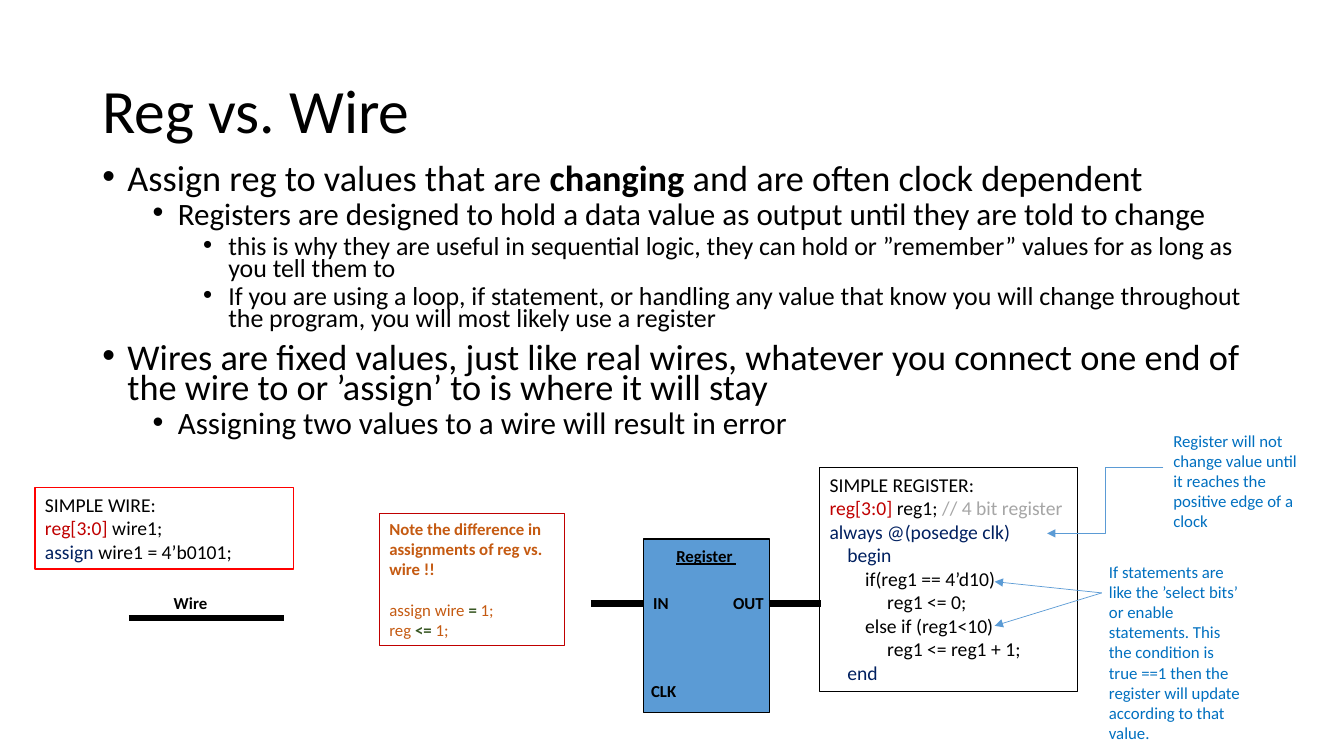
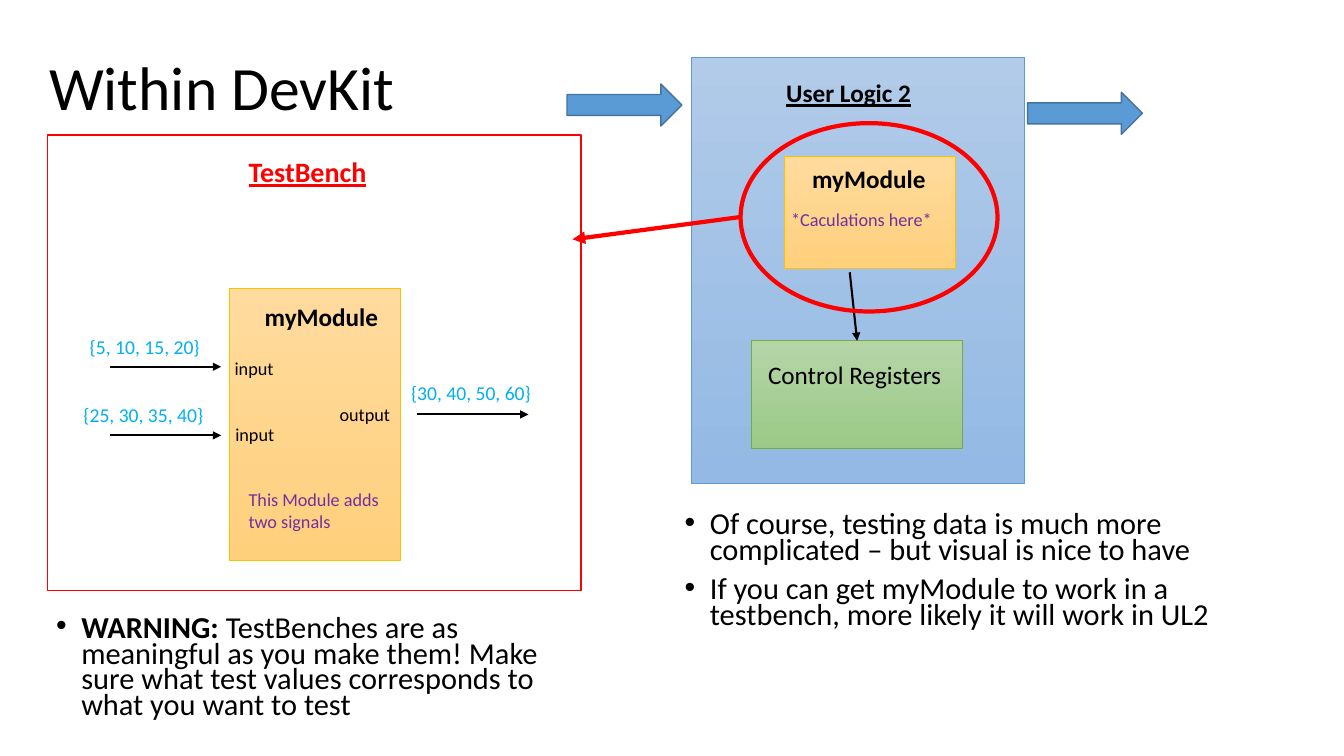
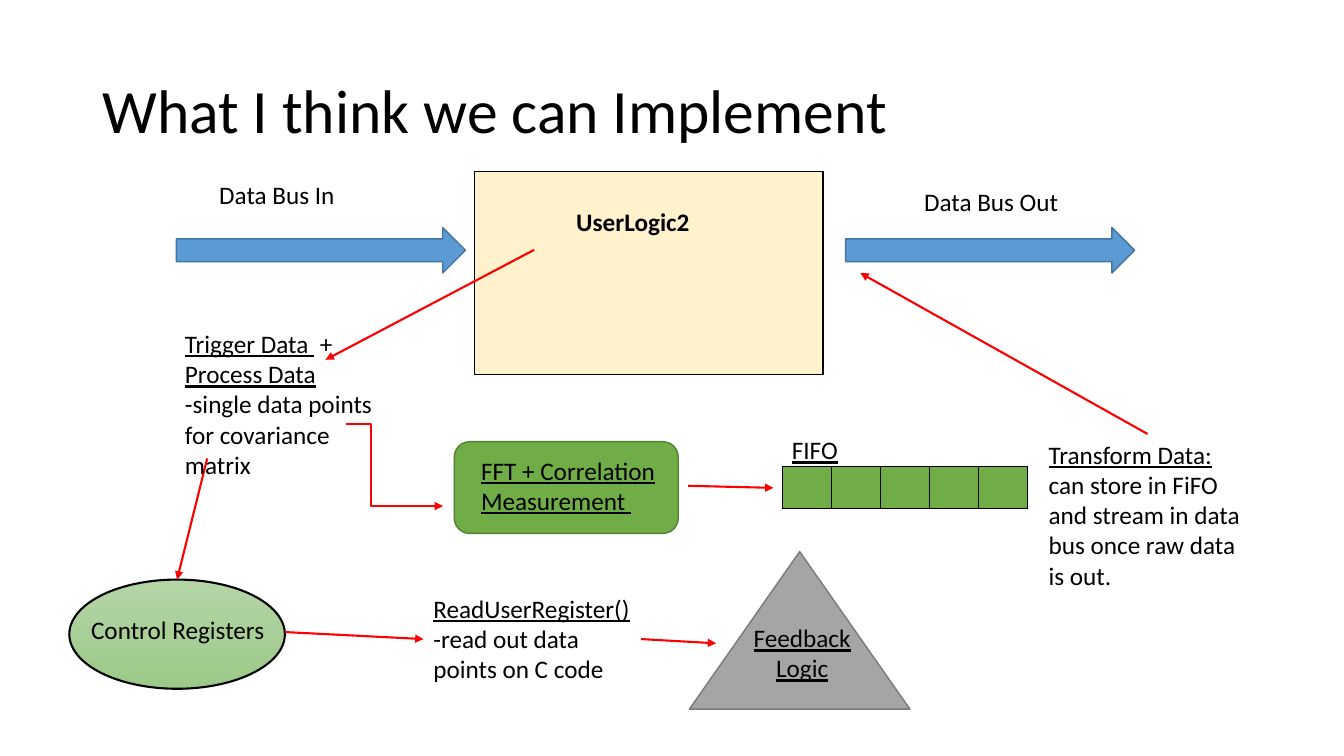
from lxml import etree
from pptx import Presentation
from pptx.dml.color import RGBColor
from pptx.enum import shapes, text
from pptx.oxml import ns
from pptx.util import Pt

FONT = "Calibri"
BLACK, RED, DARK_RED = "000000", "FF0000", "C00000"
BLUE, BLUE_EDGE, NAVY, NOTE_BLUE = "5B9BD5", "43739E", "002060", "0070C0"
SKY, PURPLE, ORANGE, OLIVE = "00B0F0", "7030A0", "C55A11", "385723"
GREEN, GOLD, GRAY = "70AD47", "FFC000", "A6A6A6"
BLUE_FADE = ("B1CBE9", "93B9E4")
GOLD_FADE = ("FFDB9E", "FFD07C")
GREEN_FADE = ("B5D5A7", "9CC987")
SHAPE = shapes.MSO_SHAPE


def rgb(value):
    return RGBColor.from_string(value)


def child(parent, tag, **attributes):
    return etree.SubElement(parent, ns.qn(tag), **attributes)


def outline(shape, color, width):
    shape.line.color.rgb = rgb(color)
    shape.line.width = Pt(width)


def add_runs(paragraph, runs, size=18, color=BLACK, bold=False, underline=False):
    """Add runs; each is a string or a (string, format overrides) pair."""
    for run in [runs] if isinstance(runs, str) else runs:
        words, changes = (run, {}) if isinstance(run, str) else run
        style = dict(size=size, color=color, bold=bold, underline=underline) | changes
        part = paragraph.add_run()
        part.text = words
        part.font.name = FONT
        part.font.size = Pt(style["size"])
        part.font.bold = style["bold"]
        part.font.underline = style["underline"]
        part.font.color.rgb = rgb(style["color"])


def add_text(slide, left, top, width, height, *paragraphs, line=None, centered=False, **style):
    box = slide.shapes.add_textbox(Pt(left), Pt(top), Pt(width), Pt(height))
    frame = box.text_frame
    frame.word_wrap = True
    if line:
        outline(box, line, 0.75)
    for index, runs in enumerate(paragraphs):
        paragraph = frame.add_paragraph() if index else frame.paragraphs[0]
        if centered:
            paragraph.alignment = text.PP_ALIGN.CENTER
        add_runs(paragraph, runs, **style)
    return box


def add_title(slide, words, left=66, top=29):
    box = add_text(slide, left, top, 828, 104, words, size=44)
    box.text_frame.vertical_anchor = text.MSO_ANCHOR.MIDDLE
    box.text_frame.paragraphs[0].line_spacing = 0.9


def add_bullets(slide, left, top, width, height, items, sizes):
    """Add (level, runs) items, with one text size for each level."""
    frame = add_text(slide, left, top, width, height).text_frame
    for index, (level, runs) in enumerate(items):
        paragraph = frame.add_paragraph() if index else frame.paragraphs[0]
        paragraph.level = level
        paragraph.line_spacing = 0.7
        if index:
            paragraph.space_before = Pt(5 if level else 10)
        properties = paragraph._p.get_or_add_pPr()
        properties.set("marL", str(Pt(18 + 36 * level)))
        properties.set("indent", str(-Pt(18)))
        child(properties, "a:buFont", typeface="Arial")
        child(properties, "a:buChar", char="•")
        add_runs(paragraph, runs, size=sizes[level])


def add_shape(slide, kind, left, top, width, height, fill=None, line=BLACK, weight=1):
    """Add a shape; a pair of colours as fill fades from top to bottom."""
    shape = slide.shapes.add_shape(kind, Pt(left), Pt(top), Pt(width), Pt(height))
    shape.shadow.inherit = False
    if fill is None:
        shape.fill.background()
    elif isinstance(fill, str):
        shape.fill.solid()
        shape.fill.fore_color.rgb = rgb(fill)
    else:
        shape.fill.gradient()
        shape.fill.gradient_angle = 270
        for stop, color in zip(shape.fill.gradient_stops, fill):
            stop.color.rgb = rgb(color)
    outline(shape, line, weight)
    return shape


def add_line(slide, start, end, color=BLACK, width=1.5, arrow=True, elbow=None,
             begin_at=None, end_at=None):
    """Join two points; elbow is the bend's share of the width, begin_at and end_at are (shape, side)."""
    kind = shapes.MSO_CONNECTOR.STRAIGHT if elbow is None else shapes.MSO_CONNECTOR.ELBOW
    connector = slide.shapes.add_connector(kind, *map(Pt, start + end))
    if begin_at:
        connector.begin_connect(*begin_at)
    if end_at:
        connector.end_connect(*end_at)
    outline(connector, color, width)
    properties = connector.element.spPr
    if arrow:
        child(connector.line._get_or_add_ln(), "a:tailEnd", type="triangle")
    if elbow is not None:
        guides = properties.find(".//" + ns.qn("a:avLst"))
        child(guides, "a:gd", name="adj1", fmla=f"val {round(elbow * 100000)}")
    child(properties, "a:effectLst")


def bus_arrow(slide, left, top, width, height):
    add_shape(slide, SHAPE.RIGHT_ARROW, left, top, width, height, BLUE, BLUE_EDGE)


# Reg vs. Wire

def wire_example(slide, left, top):
    add_text(slide, left, top, 184.5, 58, "SIMPLE WIRE:",
             [("reg[3:0] ", {"color": DARK_RED}), "wire1;"],
             [("assign ", {"color": NAVY}), "wire1 = 4’b0101;"], line=RED, size=14)
    add_text(slide, left + 92, top + 71.5, 44, 21, "Wire", size=12, bold=True)
    add_line(slide, (left + 67, top + 93), (left + 178, top + 93), width=4.5, arrow=False)


def assignment_note(slide, left, top):
    operator = {"color": OLIVE, "bold": True}
    box = add_text(slide, left, top, 132, 94,
                   [("Note the difference in assignments of reg vs. wire !!", {"bold": True})],
                   ["assign wire ", ("=", operator), " 1;"],
                   ["reg ", ("<= ", operator), "1;"], line=DARK_RED, size=12, color=ORANGE)
    box.text_frame.paragraphs[1].space_before = Pt(14.5)


def register_block(slide, left, top):
    add_shape(slide, SHAPE.RECTANGLE, left, top, 90, 124, BLUE)
    for words, x, y, width in [("IN", 0, 35, 30), ("OUT", 57, 35, 40), ("CLK", -1.5, 98, 41)]:
        add_text(slide, left + x, top + y, width, 21, words, size=12, bold=True)
    add_text(slide, left + 16.5, top + 1, 58, 21, "Register ", size=12, bold=True, underline=True)
    for x in (left - 37.5, left + 89.5):
        add_line(slide, (x, top + 46), (x + 37.5, top + 46), width=4.5, arrow=False)


def register_code(slide, left, top):
    keyword = {"color": NAVY}
    add_text(slide, left, top, 184.5, 160, "SIMPLE REGISTER:",
             [("reg[3:0] ", {"color": DARK_RED}), "reg1; ", ("// 4 bit register", {"color": GRAY})],
             [("always @(posedge clk)", keyword)],
             [("    begin", keyword)],
             "        if(reg1 == 4’d10)",
             "             reg1 <= 0;",
             "        else if (reg1<10)",
             "             reg1 <= reg1 + 1;",
             [("    end", keyword)], line=BLACK, size=14)
    add_text(slide, left + 245.5, top - 30, 109, 80,
             "Register will not change value until it reaches the positive edge of a clock",
             size=12, color=NOTE_BLUE)
    add_line(slide, (left + 245.5, top), (left + 162.5, top + 47), BLUE, 0.5, elbow=0.5)
    add_text(slide, left + 199.5, top + 63.5, 109, 138,
             "If statements are like the ’select bits’ or enable statements. This the condition "
             "is true ==1 then the register will update according to that value.",
             size=12, color=NOTE_BLUE)
    for y in (81.5, 113):
        add_line(slide, (left + 201.5, top + 89.5), (left + 125, top + y), BLUE, 0.5)


def reg_and_wire(slide):
    add_title(slide, "Reg vs. Wire")
    add_bullets(slide, 66, 116, 828, 220, [
        (0, ["Assign reg to values that are ", ("changing ", {"bold": True}),
             "and are often clock dependent"]),
        (1, "Registers are designed to hold a data value as output until they are told to change"),
        (2, "this is why they are useful in sequential logic, they can hold or ”remember” values "
            "for as long as you tell them to"),
        (2, "If you are using a loop, if statement, or handling any value that know you will "
            "change throughout the program, you will most likely use a register"),
        (0, "Wires are fixed values, just like real wires, whatever you connect one end of the "
            "wire to or ’assign’ to is where it will stay"),
        (1, "Assigning two values to a wire will result in error"),
    ], (25.9, 22.2, 18.5))
    wire_example(slide, 25, 348.5)
    assignment_note(slide, 271, 367)
    register_block(slide, 459.5, 385)
    register_code(slide, 585.5, 334)


# Within DevKit

def my_module(slide, left, top, height, label_left, label_top):
    add_shape(slide, SHAPE.RECTANGLE, left, top, 122.5, height, GOLD_FADE, GOLD, 0.5)
    add_text(slide, left + label_left, top + label_top, 96, 29, "myModule", bold=True)


def user_logic(slide, left, top):
    add_shape(slide, SHAPE.RECTANGLE, left, top, 237.5, 304, BLUE_FADE, BLUE, 0.5)
    add_text(slide, left + 60.5, top + 11, 115, 29, "User Logic 2", bold=True, underline=True)
    bus_arrow(slide, left - 89, top + 19, 82, 30)
    bus_arrow(slide, left + 240, top + 25, 82, 30)
    my_module(slide, left + 66, top + 70.5, 80, 13, 1.5)
    add_text(slide, left + 64, top + 104, 117.5, 23, "*Caculations here*", size=13, color=PURPLE)
    registers = add_shape(slide, SHAPE.RECTANGLE, left + 43, top + 202.5, 150.5, 77,
                          GREEN_FADE, GREEN, 0.5)
    add_text(slide, left + 47.5, top + 212, 146, 29, "Control Registers")
    add_line(slide, (left + 113, top + 153.5), (left + 118, top + 202.5), end_at=(registers, 0))
    add_shape(slide, SHAPE.OVAL, left + 35, top + 47, 183.5, 134.5, line=RED, weight=3)
    add_line(slide, (left + 35, top + 114), (left - 85, top + 130), RED, 3)


def test_bench(slide, left, top):
    add_shape(slide, SHAPE.RECTANGLE, left, top, 381, 325.5, line=RED)
    add_text(slide, left + 136.5, top + 10.5, 108, 32, "TestBench",
             size=20, color=RED, bold=True, underline=True)
    my_module(slide, left + 129.5, top + 109.5, 194, 18.5, 5.5)
    add_text(slide, left + 136.5, top + 248.5, 112, 39, "This Module adds two signals",
             size=13, color=PURPLE)
    for x, y in [(44.5, 165.5), (44.5, 214.5), (264, 199.5)]:
        add_line(slide, (left + x, top + y), (left + x + 79.5, top + y))
    for words, x, y in [("input", 126.5, 155.5), ("input", 127, 202.5), ("output", 201.5, 188)]:
        add_text(slide, left + x, top + y, 55, 23, words, size=13)
    for words, x, y in [("{5, 10, 15, 20}", 23, 139.5), ("{25, 30, 35, 40}", 18.5, 188),
                        ("{30, 40, 50, 60}", 252.5, 172)]:
        add_text(slide, left + x, top + y, 109, 24, words, size=14, color=SKY)


def within_devkit(slide):
    add_title(slide, "Within DevKit", 28, 13)
    user_logic(slide, 494, 41)
    test_bench(slide, 34, 96.5)
    add_bullets(slide, 482, 364, 410, 108, [
        (0, "Of course, testing data is much more complicated – but visual is nice to have"),
        (0, "If you can get myModule to work in a testbench, more likely it will work in UL2"),
    ], (21.7,))
    add_bullets(slide, 33, 438, 382, 88, [
        (0, [("WARNING: ", {"bold": True}),
             "TestBenches are as meaningful as you make them! Make sure what test values "
             "corresponds to what you want to test"]),
    ], (21.7,))


# What I think we can Implement

def data_bus(slide, left, top):
    add_shape(slide, SHAPE.RECTANGLE, left + 213, top, 249, 145, "FFF2CC")
    for x in (0, 478):
        bus_arrow(slide, left + x, top + 40, 206.5, 32.5)
    add_text(slide, left + 278.5, top + 21.5, 135, 29, "UserLogic2", bold=True)
    add_text(slide, left + 23.5, top + 2, 135, 29, "Data Bus In")
    add_text(slide, left + 527, top + 7, 135, 29, "Data Bus Out")


def trigger_data(slide, left, top):
    linked = {"underline": True}
    add_text(slide, left, top, 157, 117, [("Trigger Data ", linked), " +"],
             [("Process Data", linked)], "-single data points for covariance matrix")
    add_line(slide, (left + 256.5, top - 52.5), (left + 107.5, top + 26), RED)
    add_line(slide, (left + 122.5, top + 72), (left + 191.5, top + 130.5), RED, elbow=0.25)


def fifo(slide, left, top):
    add_text(slide, left - 0.5, top - 26.5, 157, 29, "FIFO", underline=True)
    table = slide.shapes.add_table(1, 5, Pt(left), Pt(top), Pt(175), Pt(30)).table
    table.first_row = table.horz_banding = False
    for cell in table.iter_cells():
        properties = cell._tc.get_or_add_tcPr()
        for side in ("a:lnL", "a:lnR", "a:lnT", "a:lnB"):
            border = child(properties, side, w=str(Pt(1)))
            child(child(border, "a:solidFill"), "a:srgbClr", val=BLACK)
        cell.fill.solid()
        cell.fill.fore_color.rgb = rgb(GREEN)


def measurement(slide, left, top):
    add_shape(slide, SHAPE.ROUNDED_RECTANGLE, left, top, 160, 65.5, GREEN, "538035")
    add_text(slide, left + 12, top + 6, 157, 51, "FFT + Correlation Measurement ", underline=True)
    add_line(slide, (left + 167, top + 31.5), (left + 228, top + 33), RED)
    fifo(slide, left + 234.5, top + 18)


def transform_data(slide, left, top):
    box = add_text(slide, left, top, 155.5, 117, [
        ("Transform Data: ", {"underline": True}),
        "can store in FiFO and stream in data bus once raw data is out."])
    add_line(slide, (left + 78, top), (left - 127.5, top - 115), RED, begin_at=(box, 0))


def feedback(slide, left, top):
    """Chain from the control registers through the read-out to the feedback logic."""
    registers = add_shape(slide, SHAPE.OVAL, left, top, 154, 78, GREEN_FADE, weight=1.5)
    add_text(slide, left + 8.5, top + 21.5, 150, 29, "Control Registers")
    add_line(slide, (left + 98.5, top - 86.5), (left + 77, top), RED, end_at=(registers, 0))
    reader = add_text(slide, left + 253, top + 6, 155.5, 73,
                      [("ReadUserRegister()", {"underline": True})],
                      "-read out data points on C code")
    add_line(slide, (left + 154, top + 37.5), (left + 253, top + 42.5), RED, end_at=(reader, 1))
    add_shape(slide, SHAPE.ISOSCELES_TRIANGLE, left + 443, top - 20, 157.5, 112.5,
              "A5A5A5", "7A7A7A")
    add_text(slide, left + 480.5, top + 27, 86, 51, "Feedback Logic", centered=True, underline=True)
    add_line(slide, (left + 408.5, top + 42.5), (left + 462, top + 45.5), RED,
             begin_at=(reader, 3))


def implementation(slide):
    add_title(slide, "What I think we can Implement")
    data_bus(slide, 126, 122.5)
    feedback(slide, 49.5, 414)
    measurement(slide, 324.5, 315.5)
    trigger_data(slide, 125, 231)
    transform_data(slide, 742, 310)


def main():
    presentation = Presentation()
    presentation.slide_width, presentation.slide_height = Pt(960), Pt(540)
    for build in (reg_and_wire, within_devkit, implementation):
        build(presentation.slides.add_slide(presentation.slide_layouts[6]))
    presentation.save("out.pptx")


if __name__ == "__main__":
    main()
